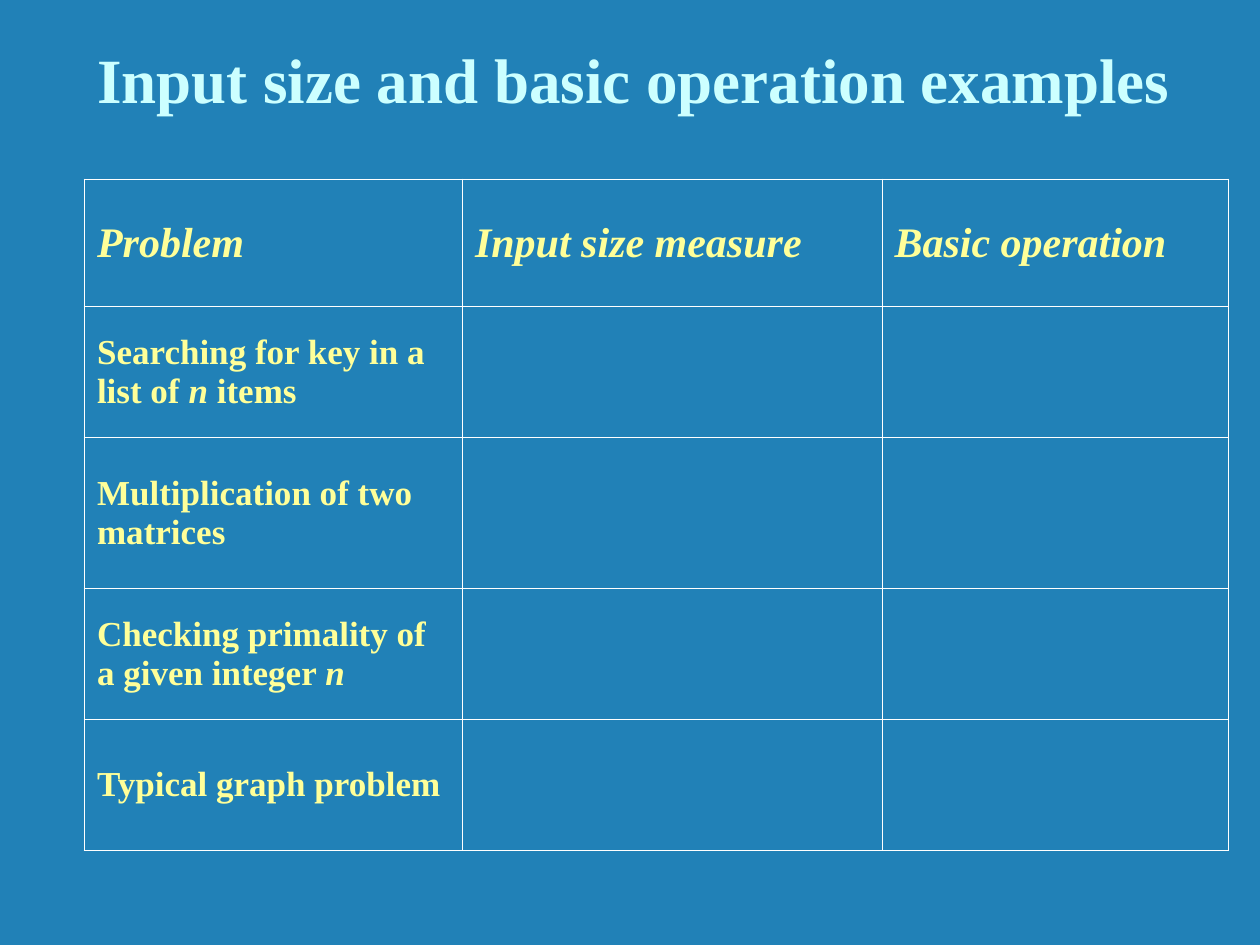
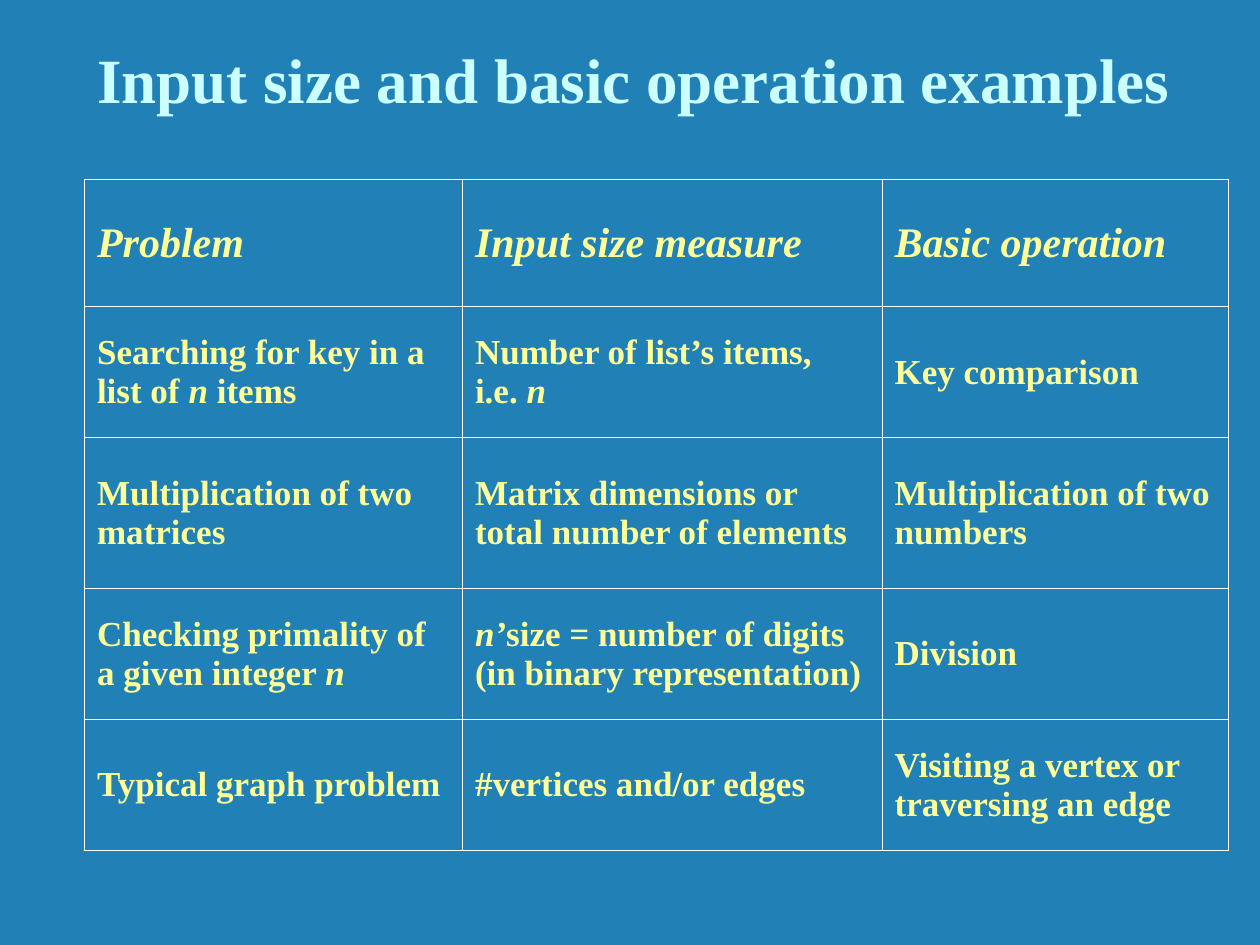
from lxml import etree
from pptx import Presentation
from pptx import util as u
from pptx.dml.color import RGBColor
from pptx.enum import text
from pptx.oxml.ns import qn

BACKGROUND, TITLE, BODY, RULE = "2181B7", "CCFFFF", "FFFF99", "FFFFFF"
FONT = "Times New Roman"
WIDTH, HEIGHT = u.Inches(10), u.Inches(7.5)
TITLE_BOX = (0.067, 0.03, 0.933, 0.1)
TABLE_BOX = (0.067, 0.19, 0.908, 0.71)
COLUMN_UNITS = (3, 3.33, 2.75)
ROW_UNITS = (1.01, 1.04, 1.2, 1.04, 1.04)
OUTER, INNER = 1.08, 0.45

HEADING = "Input size and basic operation examples"
HEADERS = ("Problem", "Input size measure", "Basic operation")
PROBLEMS = (
    ("Searching for key in a list of *n* items",
     "Number of list’s items,\ni.e. *n*", "Key comparison"),
    ("Multiplication of two matrices",
     "Matrix dimensions or total number of elements",
     "Multiplication of two numbers"),
    ("Checking primality of a given integer *n*",
     "*n’*size = number of digits (in binary representation)", "Division"),
    ("Typical graph problem", "#vertices and/or edges",
     "Visiting a vertex or traversing an edge"),
)


def color(value):
    return RGBColor.from_string(value)


def place(box):
    left, top, width, height = box
    return [round(share * side) for share, side in
            ((left, WIDTH), (top, HEIGHT), (width, WIDTH), (height, HEIGHT))]


def style(paragraph, size, shade):
    font = paragraph.font
    font.name, font.size, font.bold = FONT, u.Pt(size), True
    font.color.rgb = color(shade)


def write(paragraph, wording):
    for line_number, line in enumerate(wording.split("\n")):
        if line_number:
            paragraph.add_line_break()
        for part_number, part in enumerate(line.split("*")):
            if part:
                run = paragraph.add_run()
                run.text = part
                if part_number % 2:
                    run.font.italic = True


def add_title(slide, box):
    heading = slide.shapes.title
    heading.left, heading.top, heading.width, heading.height = place(box)
    frame = heading.text_frame
    frame.text = HEADING
    frame.vertical_anchor = text.MSO_ANCHOR.BOTTOM
    paragraph = frame.paragraphs[0]
    paragraph.alignment = text.PP_ALIGN.LEFT
    style(paragraph, 36, TITLE)


def add_border(cell, side, weight):
    line = etree.SubElement(cell._tc.get_or_add_tcPr(), qn(f"a:ln{side}"),
                            w=str(u.Pt(weight)))
    fill = etree.SubElement(line, qn("a:solidFill"))
    etree.SubElement(fill, qn("a:srgbClr"), val=RULE)


def format_cell(cell, row, column):
    edges = {"L": column == 0, "R": column == len(COLUMN_UNITS) - 1,
             "T": row == 0, "B": row == len(ROW_UNITS) - 1}
    for side, is_outer in edges.items():
        add_border(cell, side, OUTER if is_outer else INNER)
    cell.fill.background()
    cell.vertical_anchor = text.MSO_ANCHOR.MIDDLE


def add_problem_table(slide, box, show_answers):
    left, top, width, height = place(box)
    table = slide.shapes.add_table(len(ROW_UNITS), len(COLUMN_UNITS),
                                   left, top, width, height).table
    table.first_row = table.horz_banding = False
    for column, units in zip(table.columns, COLUMN_UNITS):
        column.width = round(width * units / sum(COLUMN_UNITS))
    for row, units in zip(table.rows, ROW_UNITS):
        row.height = round(height * units / sum(ROW_UNITS))
    for row, entries in enumerate((HEADERS, *PROBLEMS)):
        for column, wording in enumerate(entries):
            cell = table.cell(row, column)
            format_cell(cell, row, column)
            paragraph = cell.text_frame.paragraphs[0]
            if row == 0:
                write(paragraph, f"*{wording}*")
                style(paragraph, 24, BODY)
            elif column == 0 or show_answers:
                write(paragraph, wording)
                style(paragraph, 20, BODY)


def main():
    deck = Presentation()
    deck.slide_width, deck.slide_height = WIDTH, HEIGHT
    backdrop = deck.slide_master.background.fill
    backdrop.solid()
    backdrop.fore_color.rgb = color(BACKGROUND)
    for show_answers in (False, True):
        slide = deck.slides.add_slide(deck.slide_layouts[5])
        add_title(slide, TITLE_BOX)
        add_problem_table(slide, TABLE_BOX, show_answers)
    deck.save("out.pptx")


if __name__ == "__main__":
    main()
